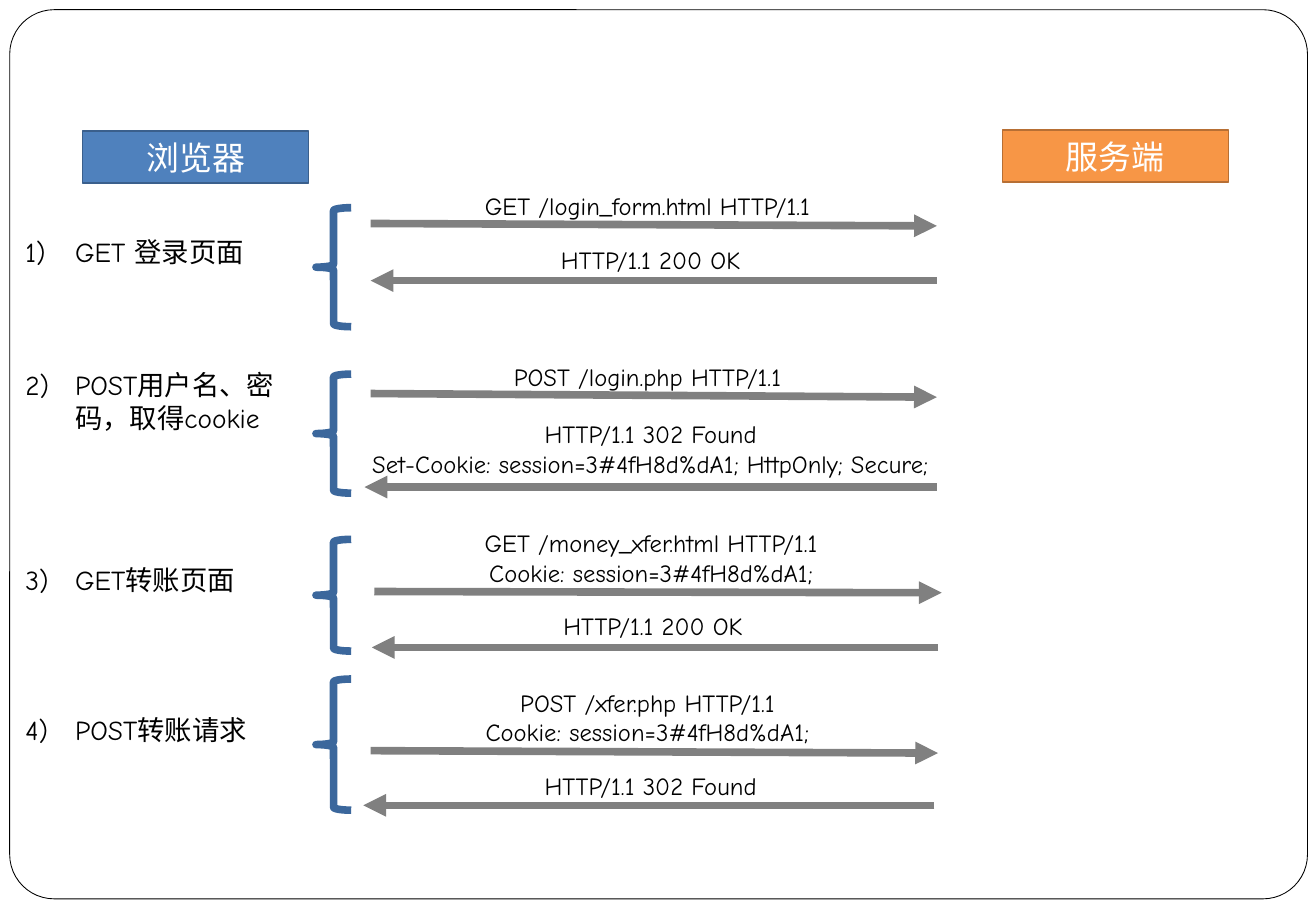
from dataclasses import dataclass

from lxml import etree
from pptx import Presentation
from pptx.dml.color import RGBColor
from pptx.enum.shapes import MSO_CONNECTOR, MSO_SHAPE
from pptx.enum.text import MSO_ANCHOR, MSO_AUTO_SIZE, PP_ALIGN
from pptx.oxml.ns import qn
from pptx.util import Inches, Pt

STRAIGHT = MSO_CONNECTOR.STRAIGHT
ROUNDED, RECTANGLE, LEFT_BRACE = (
    MSO_SHAPE.ROUNDED_RECTANGLE, MSO_SHAPE.RECTANGLE, MSO_SHAPE.LEFT_BRACE)
LEFT, CENTER = PP_ALIGN.LEFT, PP_ALIGN.CENTER
MIDDLE = MSO_ANCHOR.MIDDLE
FIT_SHAPE = MSO_AUTO_SIZE.SHAPE_TO_FIT_TEXT

WHITE = RGBColor(0xFF, 0xFF, 0xFF)
BLACK = RGBColor(0x00, 0x00, 0x00)
BLUE = RGBColor(0x4F, 0x81, 0xBD)
BLUE_EDGE = RGBColor(0x3A, 0x5F, 0x8C)
ORANGE = RGBColor(0xF7, 0x96, 0x46)
ORANGE_EDGE = RGBColor(0xB7, 0x6F, 0x34)
BRACE_BLUE = RGBColor(0x3B, 0x67, 0x9C)
GRAY = RGBColor(0x80, 0x80, 0x80)

FONT = "Comic Neue"
STEP_LEFT = 0.11
BRACE_LEFT, BRACE_WIDTH = 2.49, 0.29
LINE_HEIGHT, TEXT_PADDING = 0.24, 0.11
LABEL_INDENT = 0.41
SESSION = "Cookie: session=3#4fH8d%dA1;"


@dataclass
class Message:
    """One arrow and its caption; lengths are offsets from the step's corner."""
    lines: list
    caption: tuple  # left, top, width
    start: tuple
    end: tuple


@dataclass
class Step:
    label: str
    top: float
    height: float
    label_box: tuple  # top offset, width, height
    messages: list


STEPS = [
    Step("GET 登录页面", 1.71, 0.98, (0.18, 2.27, 0.37), [
        Message(["GET /login_form.html HTTP/1.1"], (3.6, -0.19, 3.24), (2.94, 0.13), (7.6, 0.15)),
        Message(["HTTP/1.1 200 OK"], (4.31, 0.26, 1.87), (7.6, 0.6), (2.94, 0.6)),
    ]),
    Step("POST用户名、密码，取得cookie", 3.08, 0.98, (-0.1, 2.43, 0.65), [
        Message(["POST /login.php HTTP/1.1"], (3.87, -0.15, 2.7), (2.94, 0.16), (7.6, 0.19)),
        Message(["HTTP/1.1 302 Found", f"Set-{SESSION} HttpOnly; Secure;"],
                (2.49, 0.32, 5.51), (7.6, 0.93), (2.89, 0.93)),
    ]),
    Step("GET转账页面", 4.44, 0.92, (0.15, 2.27, 0.37), [
        Message(["GET /money_xfer.html HTTP/1.1", SESSION],
                (3.57, -0.14, 3.36), (2.97, 0.43), (7.64, 0.44)),
        Message(["HTTP/1.1 200 OK"], (4.33, 0.54, 1.87), (7.61, 0.89), (2.95, 0.89)),
    ]),
    Step("POST转账请求", 5.59, 1.08, (0.23, 2.27, 0.37), [
        Message(["POST /xfer.php HTTP/1.1", SESSION],
                (3.59, 0.02, 3.26), (2.94, 0.59), (7.61, 0.61)),
        Message(["HTTP/1.1 302 Found"], (4.17, 0.71, 2.15), (7.58, 1.04), (2.88, 1.04)),
    ]),
]


def add_outlined(slide, preset, box, fill, edge, weight):
    shape = slide.shapes.add_shape(preset, *map(Inches, box))
    shape.shadow.inherit = False
    if fill is None:
        shape.fill.background()
    else:
        shape.fill.solid()
        shape.fill.fore_color.rgb = fill
    shape.line.color.rgb = edge
    shape.line.width = Pt(weight)
    return shape


def write_lines(frame, lines, size, color, align):
    for index, line in enumerate(lines):
        paragraph = frame.add_paragraph() if index else frame.paragraphs[0]
        paragraph.alignment = align
        run = paragraph.add_run()
        run.text = line
        for name, value in {"name": FONT, "size": Pt(size)}.items():
            setattr(run.font, name, value)
        run.font.color.rgb = color


def add_text(slide, box, lines, size, align, wrap):
    frame = slide.shapes.add_textbox(*map(Inches, box)).text_frame
    for name, value in {"word_wrap": wrap, "auto_size": FIT_SHAPE}.items():
        setattr(frame, name, value)
    write_lines(frame, lines, size, BLACK, align)
    return frame


def add_party(slide, box, name, fill, edge):
    party = add_outlined(slide, RECTANGLE, box, fill, edge, 1)
    party.text_frame.vertical_anchor = MIDDLE
    write_lines(party.text_frame, [name], 19.5, WHITE, CENTER)


def add_arrow(slide, start, end):
    arrow = slide.shapes.add_connector(STRAIGHT, *map(Inches, start + end))
    arrow.line.color.rgb = GRAY
    arrow.line.width = Pt(4.5)
    etree.SubElement(arrow.line._get_or_add_ln(), qn("a:tailEnd"), type="triangle")
    etree.SubElement(arrow._element.spPr, qn("a:effectLst"))


def add_message(slide, left, top, message):
    (start_x, start_y), (end_x, end_y) = message.start, message.end
    add_arrow(slide, (left + start_x, top + start_y), (left + end_x, top + end_y))
    x, y, width = message.caption
    height = TEXT_PADDING + LINE_HEIGHT * len(message.lines)
    add_text(slide, (left + x, top + y, width, height), message.lines, 14.6, CENTER, False)


def number_paragraph(paragraph, number):
    properties = paragraph._p.get_or_add_pPr()
    indent = Inches(LABEL_INDENT)
    properties.set("marL", str(indent))
    properties.set("indent", str(-indent))
    etree.SubElement(properties, qn("a:buFont"), typeface="+mj-lt")
    etree.SubElement(properties, qn("a:buAutoNum"), type="arabicParenR", startAt=str(number))


def add_step(slide, left, number, step):
    for message in step.messages:
        add_message(slide, left, step.top, message)
    add_outlined(slide, LEFT_BRACE, (left + BRACE_LEFT, step.top, BRACE_WIDTH, step.height),
                 None, BRACE_BLUE, 4.5)
    offset, width, height = step.label_box
    label = add_text(slide, (left, step.top + offset, width, height),
                     [step.label], 16.2, LEFT, True)
    number_paragraph(label.paragraphs[0], number)


def main():
    deck = Presentation()
    deck.slide_width, deck.slide_height = Inches(10.83), Inches(7.5)
    slide = deck.slides.add_slide(deck.slide_layouts[6])
    frame = add_outlined(slide, ROUNDED, (0.08, 0.08, 10.68, 7.32), WHITE, BLACK, 0.5)
    frame.adjustments[0] = 0.05
    add_party(slide, (0.68, 1.08, 1.86, 0.43), "浏览器", BLUE, BLUE_EDGE)
    add_party(slide, (8.25, 1.07, 1.86, 0.43), "服务端", ORANGE, ORANGE_EDGE)
    for number, step in enumerate(STEPS, start=1):
        add_step(slide, STEP_LEFT, number, step)
    deck.save("out.pptx")


if __name__ == "__main__":
    main()
